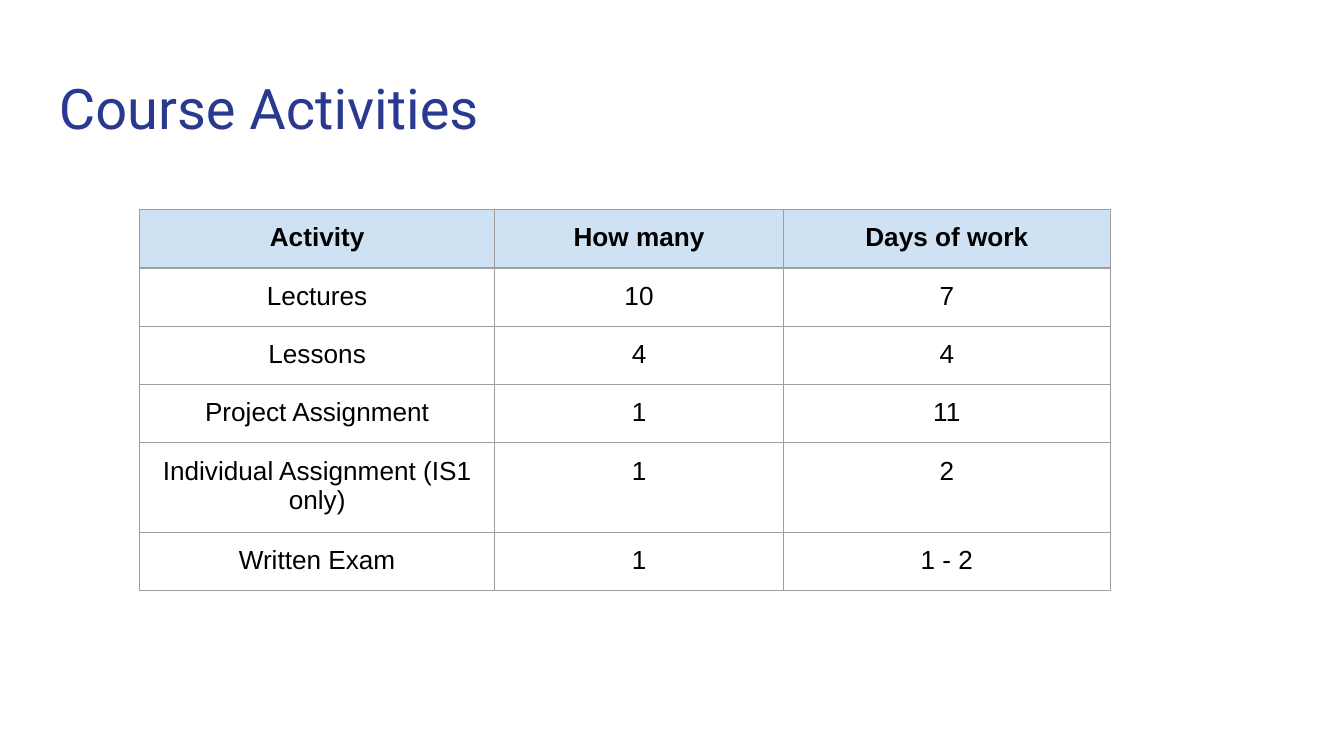
from lxml import etree
from pptx import Presentation
from pptx.dml.color import RGBColor
from pptx.enum.text import MSO_ANCHOR, PP_ALIGN
from pptx.oxml.ns import qn
from pptx.util import Inches, Pt

TOP, CENTER = MSO_ANCHOR.TOP, PP_ALIGN.CENTER
NAVY = RGBColor(0x2A, 0x39, 0x90)
BLACK = RGBColor(0x00, 0x00, 0x00)
PALE_BLUE = RGBColor(0xCF, 0xE2, 0xF3)
GREY = RGBColor(0x9E, 0x9E, 0x9E)
INSET = Inches(0.1)
ROW_HEIGHT = 0.42
COL_WIDTHS = (2.64, 2.15, 2.43)
ACTIVITIES = (
    ("Activity", "How many", "Days of work"),
    ("Lectures", "10", "7"),
    ("Lessons", "4", "4"),
    ("Project Assignment", "1", "11"),
    ("Individual Assignment (IS1 only)", "1", "2"),
    ("Written Exam", "1", "1 - 2"),
)


def set_insets(box):
    """Give a text frame or table cell equal margins."""
    box.margin_left = box.margin_right = INSET
    box.margin_top = box.margin_bottom = INSET


def set_font(p, name, size, color, bold=False):
    """Set the font of a whole paragraph."""
    p.font.name, p.font.size, p.font.bold = name, Pt(size), bold
    p.font.color.rgb = color


def add_borders(cell):
    """Draw a thin grey line on all four sides of a cell."""
    props = cell._tc.get_or_add_tcPr()
    for i, side in enumerate(("a:lnL", "a:lnR", "a:lnT", "a:lnB")):
        line = etree.Element(qn(side), w=str(Pt(0.75)))
        fill = etree.SubElement(line, qn("a:solidFill"))
        etree.SubElement(fill, qn("a:srgbClr"), val=str(GREY))
        props.insert(i, line)


def add_title(slide, text, left, top, width, height):
    """Place the slide title in the given box."""
    sp = slide.shapes.add_textbox(*map(Inches, (left, top, width, height)))
    tf = sp.text_frame
    tf.word_wrap, tf.vertical_anchor = True, TOP
    set_insets(tf)
    p = tf.paragraphs[0]
    p.text = text
    set_font(p, "Roboto", 30, NAVY)


def add_activity_table(slide, rows, left, top, width, height):
    """Place the activity table with its header row in the given frame."""
    box = map(Inches, (left, top, width, height))
    frame = slide.shapes.add_table(len(rows), len(COL_WIDTHS), *box)
    table = frame.table
    table.first_row = table.horz_banding = False
    for column, col_width in zip(table.columns, COL_WIDTHS):
        column.width = Inches(col_width)
    for r, values in enumerate(rows):
        table.rows[r].height = Inches(ROW_HEIGHT)
        for c, value in enumerate(values):
            cell = table.cell(r, c)
            set_insets(cell)
            cell.vertical_anchor = TOP
            if r == 0:
                cell.fill.solid()
                cell.fill.fore_color.rgb = PALE_BLUE
            else:
                cell.fill.background()
            add_borders(cell)
            p = cell.text_frame.paragraphs[0]
            p.text, p.alignment = value, CENTER
            set_font(p, "Arial", 14, BLACK, bold=r == 0)
    frame.width, frame.height = Inches(width), Inches(height)


def main():
    """Build the course activities slide."""
    prs = Presentation()
    prs.slide_width = Inches(10)
    prs.slide_height = prs.slide_width * 9 // 16
    slide = prs.slides.add_slide(prs.slide_layouts[6])
    add_title(slide, "Course Activities", 0.34, 0.45, 9.32, 0.66)
    add_activity_table(slide, ACTIVITIES, 1.04, 1.56, 3.28, 3.28)
    prs.save("out.pptx")


if __name__ == "__main__":
    main()
